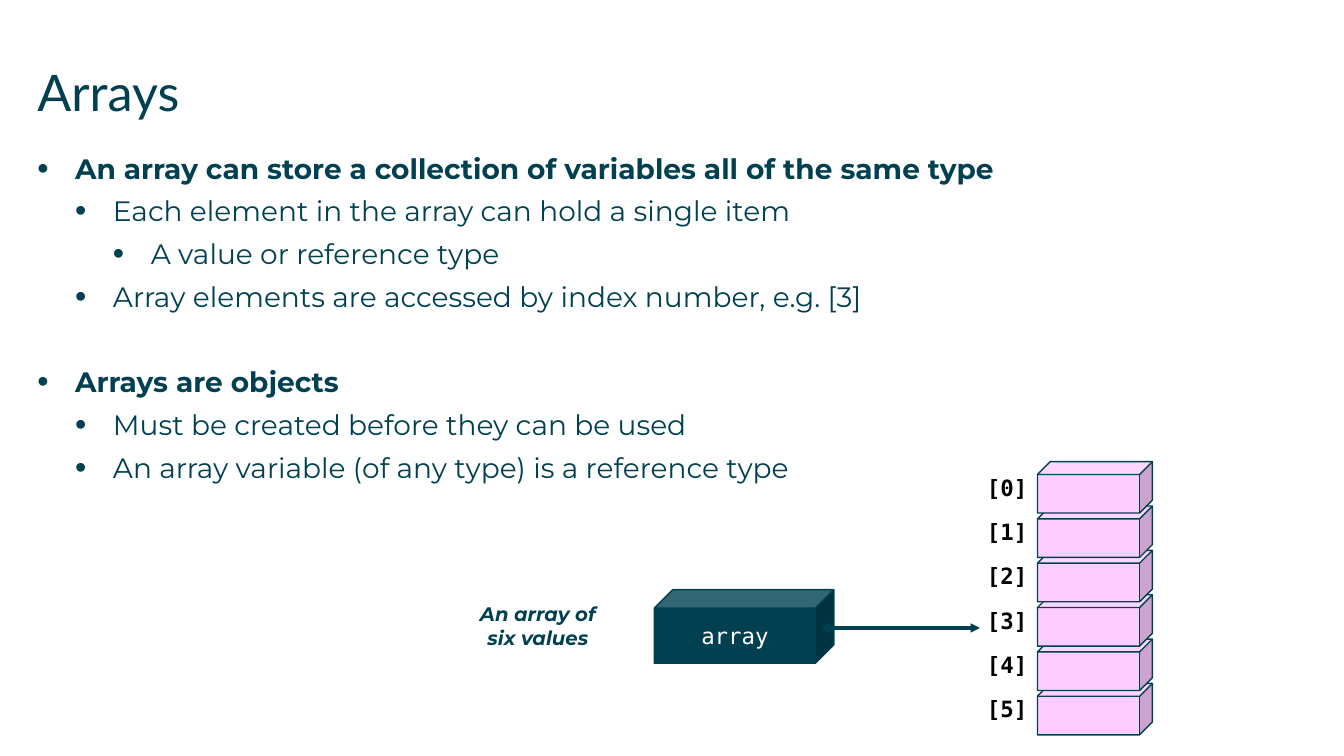
"""Build the slide on arrays: bullet points and a diagram of six indexed cells."""
import pptx
import pptx.dml.color
import pptx.enum.shapes
import pptx.enum.text
import pptx.oxml.ns
import pptx.util
from lxml import etree

Inches = pptx.util.Inches
Pt = pptx.util.Pt
ALIGN = pptx.enum.text.PP_ALIGN
ANCHOR = pptx.enum.text.MSO_ANCHOR
SHAPE = pptx.enum.shapes.MSO_SHAPE

TITLE = "Arrays"
SECTIONS = [
    [
        (0, "An array can store a collection of variables all of the same type"),
        (1, "Each element in the array can hold a single item"),
        (2, "A value or reference type"),
        (1, "Array elements are accessed by index number, e.g. [3]"),
    ],
    [
        (0, "Arrays are objects"),
        (1, "Must be created before they can be used"),
        (1, "An array variable (of any type) is a reference type"),
    ],
]
CAPTION = "An array of six values"
VARIABLE = "array"
CELL_COUNT = 6

THEME = {
    "ink": "004050",
    "paper": "FFFFFF",
    "cell": "FFCCFF",
    "title": {"name": "Lato", "size": Pt(36), "color": "004050"},
    "body": {"name": "Montserrat", "size": Pt(20), "color": "004050"},
    "caption": {"name": "Montserrat", "size": Pt(14), "color": "004050", "bold": True, "italic": True},
    "variable": {"name": "DejaVu Sans Mono", "size": Pt(16), "color": "FFFFFF"},
    "index": {"name": "DejaVu Sans Mono", "size": Pt(16), "color": "000000", "bold": True},
}

TITLE_BOX = (0.37, 0.61, 12.6, 0.88)
BODY_BOX = (0.37, 1.5, 12.59, 3.37)
CAPTION_BOX = (4.65, 5.83, 1.37, 0.75)
VARIABLE_BOX = (6.49, 5.85, 1.78, 0.73)
ARROW = (8.21, 6.23, 9.72, 6.23)
CELL_LEFT, CELL_TOP, CELL_WIDTH, CELL_HEIGHT, CELL_PITCH = 10.29, 4.58, 1.14, 0.51, 0.44
INDEX_LEFT, INDEX_DROP, INDEX_WIDTH, INDEX_HEIGHT = 9.69, 0.07, 0.6, 0.37
INDENT = 0.375
PARAGRAPH_GAP, SECTION_GAP = Pt(6.5), Pt(30.5)


def color(value):
    return pptx.dml.color.RGBColor.from_string(value)


def add_element(parent, tag, **attributes):
    return etree.SubElement(parent, pptx.oxml.ns.qn(tag), attributes)


def format_font(font, style):
    for name, value in style.items():
        if name == "color":
            font.color.rgb = color(value)
        else:
            setattr(font, name, value)


def write(shape, text, style, align=ALIGN.LEFT, **frame_format):
    for name, value in frame_format.items():
        setattr(shape.text_frame, name, value)
    paragraph = shape.text_frame.paragraphs[0]
    paragraph.text = text
    paragraph.alignment = align
    format_font(paragraph.runs[0].font, style)


def add_text_box(slide, box):
    shape = slide.shapes.add_textbox(*map(Inches, box))
    frame = shape.text_frame
    frame.word_wrap = True
    for side in ("left", "top", "right", "bottom"):
        setattr(frame, f"margin_{side}", 0)
    return shape


def add_block(slide, kind, box, fill, line=None):
    shape = slide.shapes.add_shape(kind, *map(Inches, box))
    shape.shadow.inherit = False
    shape.fill.solid()
    shape.fill.fore_color.rgb = color(fill)
    if line:
        shape.line.color.rgb = color(line)
        shape.line.width = Pt(1)
    else:
        shape.line.fill.background()
    return shape


def add_bullets(slide):
    frame = add_text_box(slide, BODY_BOX).text_frame
    paragraph = None
    for section in SECTIONS:
        for level, text in section:
            starts_section = level == 0 and paragraph is not None
            paragraph = frame.add_paragraph() if paragraph else frame.paragraphs[0]
            properties = paragraph._p.get_or_add_pPr()
            properties.set("marL", str(Inches(INDENT * (level + 1))))
            properties.set("indent", str(-Inches(INDENT)))
            paragraph.space_before = SECTION_GAP if starts_section else Pt(0)
            paragraph.space_after = PARAGRAPH_GAP
            add_element(properties, "a:buSzPct", val="115000")
            add_element(properties, "a:buFont", typeface="Arial")
            add_element(properties, "a:buChar", char="•")
            paragraph.level = level
            paragraph.add_run().text = text
            format_font(paragraph.runs[0].font, {**THEME["body"], "bold": level == 0})


def add_arrow(slide):
    arrow = slide.shapes.add_connector(
        pptx.enum.shapes.MSO_CONNECTOR.STRAIGHT, *map(Inches, ARROW)
    )
    arrow.line.color.rgb = color(THEME["ink"])
    arrow.line.width = Pt(2.25)
    line = arrow.line._get_or_add_ln()
    add_element(line, "a:headEnd", type="oval")
    add_element(line, "a:tailEnd", type="triangle")
    add_element(arrow._element.spPr, "a:effectLst")


def add_cells(slide):
    for index in reversed(range(CELL_COUNT)):
        top = CELL_TOP + index * CELL_PITCH
        label = slide.shapes.add_textbox(
            *map(Inches, (INDEX_LEFT, top + INDEX_DROP, INDEX_WIDTH, INDEX_HEIGHT))
        )
        write(label, f"[{index}]", THEME["index"], word_wrap=False)
        add_block(slide, SHAPE.CUBE, (CELL_LEFT, top, CELL_WIDTH, CELL_HEIGHT),
                  THEME["cell"], THEME["ink"])


def main():
    presentation = pptx.Presentation()
    presentation.slide_width = Inches(13.33)
    presentation.slide_height = Inches(7.5)
    slide = presentation.slides.add_slide(presentation.slide_layouts[6])
    write(add_text_box(slide, TITLE_BOX), TITLE, THEME["title"])
    add_bullets(slide)
    caption = add_block(slide, SHAPE.RECTANGLE, CAPTION_BOX, THEME["paper"])
    write(caption, CAPTION, THEME["caption"], ALIGN.CENTER,
          word_wrap=True, vertical_anchor=ANCHOR.MIDDLE)
    variable = add_block(slide, SHAPE.CUBE, VARIABLE_BOX, THEME["ink"], THEME["ink"])
    write(variable, VARIABLE, THEME["variable"], ALIGN.CENTER,
          word_wrap=False, vertical_anchor=ANCHOR.MIDDLE)
    add_arrow(slide)
    add_cells(slide)
    presentation.save("out.pptx")


if __name__ == "__main__":
    main()
